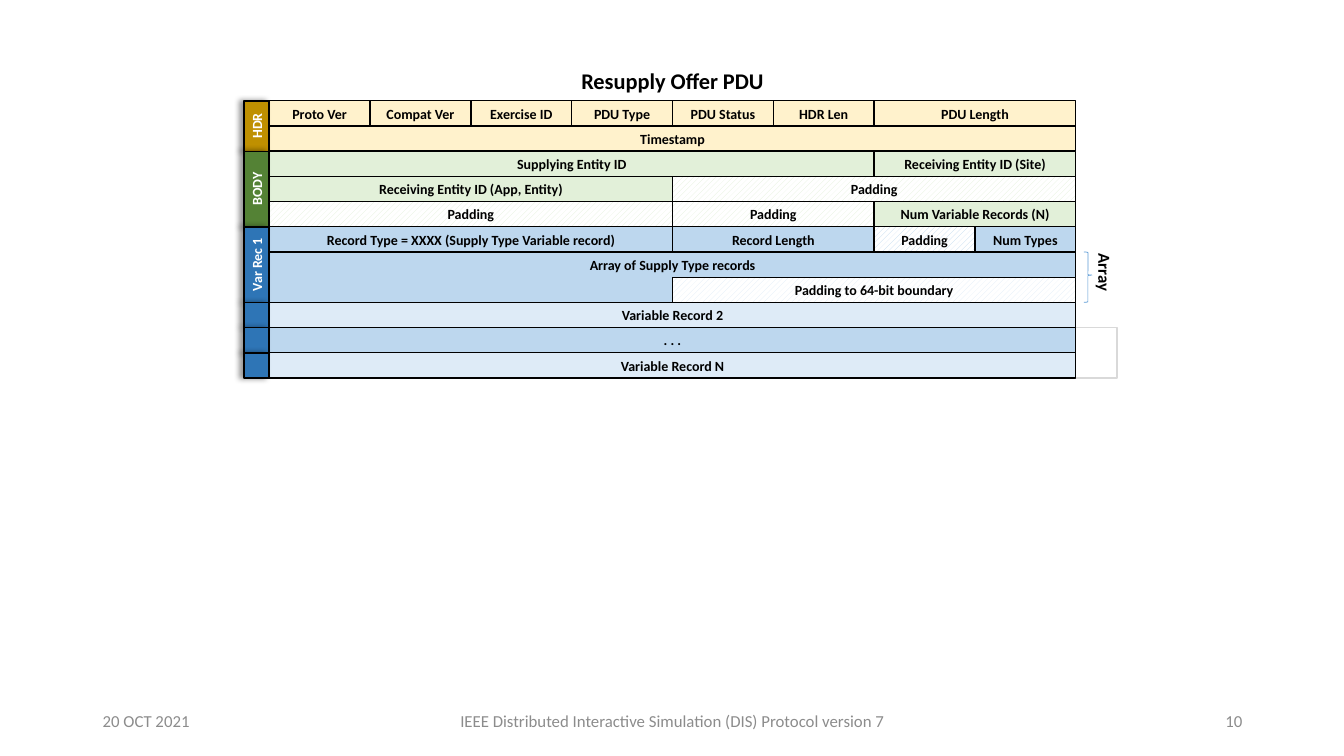
from lxml import etree
from pptx import Presentation
from pptx.dml.color import RGBColor
from pptx.enum import dml, shapes, text
from pptx.oxml.ns import qn
from pptx.util import Inches, Pt

TITLE = "Resupply Offer PDU"
SAND, GREEN, BLUE, PALE = "FFF2CC", "E2F0D9", "BDD7EE", "DEEBF7"
GOLD, FOREST, NAVY = "BF9000", "548235", "2E75B6"
BLACK, WHITE, GREY = "000000", "FFFFFF", "8C8C8C"

# One list per row: (text, width in bytes, colour, hatched)
ROWS = [
    [("Proto Ver", 1, SAND, False), ("Compat Ver", 1, SAND, False),
     ("Exercise ID", 1, SAND, False), ("PDU Type", 1, SAND, False),
     ("PDU Status", 1, SAND, False), ("HDR Len", 1, SAND, False),
     ("PDU Length", 2, SAND, False)],
    [("Timestamp", 8, SAND, False)],
    [("Supplying Entity ID", 6, GREEN, False),
     ("Receiving Entity ID (Site)", 2, GREEN, False)],
    [("Receiving Entity ID (App, Entity)", 4, GREEN, False),
     ("Padding", 4, GREEN, True)],
    [("Padding", 4, GREEN, True), ("Padding", 2, GREEN, True),
     ("Num Variable Records (N)", 2, GREEN, False)],
    [("Record Type = XXXX (Supply Type Variable record)", 4, BLUE, False),
     ("Record Length", 2, BLUE, False), ("Padding", 1, BLUE, True),
     ("Num Types", 1, BLUE, False)],
    [],  # first of the two rows of the array
    [("", 4, None, False), ("Padding to 64-bit boundary", 4, PALE, True)],
    [("Variable Record 2", 8, PALE, False)],
    [(". . .", 8, BLUE, False)],
    [("Variable Record N", 8, PALE, False)],
]
ARRAY_ROW, ARRAY_TEXT = 6, "Array of Supply Type records"
# Side bars: (text, rows spanned, colour)
SECTIONS = [("HDR", 2, GOLD), ("BODY", 3, FOREST), ("Var Rec 1", 3, NAVY),
            ("", 1, NAVY), ("", 1, NAVY), ("", 1, NAVY)]
# Footer: (text, left, width, alignment)
FOOTER = [
    ("20 OCT 2021", 0.92, 3, text.PP_ALIGN.LEFT),
    ("IEEE Distributed Interactive Simulation (DIS) Protocol version 7",
     4.42, 4.5, text.PP_ALIGN.CENTER),
    ("10", 9.42, 3, text.PP_ALIGN.RIGHT),
]
LEFT, TOP, BYTE, ROW = 2.67, 1, 1, 0.25
RIGHT = LEFT + 8 * BYTE

prs = Presentation()
prs.slide_width, prs.slide_height = Inches(13.33), Inches(7.5)
slide = prs.slides.add_slide(prs.slide_layouts[5])


def rgb(value):
    return RGBColor.from_string(value)


def row_top(index):
    return TOP + index * ROW


def write(shape, words, size, color, bold=True, align=text.PP_ALIGN.CENTER,
          anchor=text.MSO_ANCHOR.MIDDLE, margin=0.0):
    frame = shape.text_frame
    frame.word_wrap = True
    frame.auto_size = text.MSO_AUTO_SIZE.NONE
    frame.vertical_anchor = anchor
    frame.margin_left = frame.margin_right = Inches(margin)
    paragraph = frame.paragraphs[0]
    paragraph.alignment = align
    run = paragraph.add_run()
    run.text = words
    run.font.name, run.font.size, run.font.bold = "Calibri", Pt(size), bold
    run.font.color.rgb = rgb(color)


def outline(kind, left, top, width, height, color=BLACK, weight=1):
    shape = slide.shapes.add_shape(
        kind, Inches(left), Inches(top), Inches(width), Inches(height))
    shape.shadow.inherit = False
    shape.fill.background()
    shape.line.color.rgb, shape.line.width = rgb(color), Pt(weight)
    return shape


def box(left, top, width, height, color, hatched=False):
    shape = outline(shapes.MSO_SHAPE.RECTANGLE, left, top, width, height)
    if hatched:
        shape.fill.patterned()
        shape.fill.pattern = dml.MSO_PATTERN.WIDE_UPWARD_DIAGONAL
        shape.fill.fore_color.rgb = rgb(color)
        shape.fill.back_color.rgb = rgb(WHITE)
    else:
        shape.fill.solid()
        shape.fill.fore_color.rgb = rgb(color)
    return shape


def cast_shadow_left(shape):
    effects = shape._element.spPr.find(qn("a:effectLst"))
    shadow = etree.SubElement(
        effects, qn("a:outerShdw"), blurRad=str(Pt(4)), dist=str(Pt(3)),
        dir=str(180 * 60000), rotWithShape="0")
    black = etree.SubElement(shadow, qn("a:srgbClr"), val=BLACK)
    etree.SubElement(black, qn("a:alpha"), val="40000")


# Title
title = slide.shapes.title
title.left, title.top = Inches(4.67), Inches(0.67)
title.width, title.height = Inches(4), Inches(0.25)
write(title, TITLE, 16, BLACK)

# Empty frame beside the last rows
outline(shapes.MSO_SHAPE.RECTANGLE, RIGHT - 0.01, row_top(9), 0.42, 2 * ROW, "D9D9D9")

# Fields, with the two-row array behind
array = box(LEFT, row_top(ARRAY_ROW), 8 * BYTE, 2 * ROW, BLUE)
write(array, ARRAY_TEXT, 10, BLACK, anchor=text.MSO_ANCHOR.TOP)
for index, fields in enumerate(ROWS):
    left = LEFT
    for words, size, color, hatched in fields:
        if color:
            field = box(left, row_top(index), size * BYTE, ROW, color, hatched)
            write(field, words, 10, BLACK)
        left += size * BYTE

# Side bars, turned to read upwards
start = 0
for words, span, color in SECTIONS:
    length = span * ROW
    middle = row_top(start) + length / 2
    bar = box(LEFT - ROW / 2 - length / 2, middle - ROW / 2, length, ROW, color)
    bar.rotation = 270
    cast_shadow_left(bar)
    if words:
        write(bar, words, 10, WHITE)
    start += span

# Brace and label of the array
brace = outline(shapes.MSO_SHAPE.RIGHT_BRACE, RIGHT + 0.08, row_top(ARRAY_ROW),
                0.08, 2 * ROW, "5B9BD5", 0.5)
brace.adjustments[0], brace.adjustments[1] = 0.08, 0.46
label = slide.shapes.add_textbox(Inches(RIGHT), Inches(2.58), Inches(0.58), Inches(0.25))
label.rotation = 90
write(label, "Array", 12, BLACK)

# Footer
for words, left, width, align in FOOTER:
    note = slide.shapes.add_textbox(
        Inches(left), Inches(6.95), Inches(width), Inches(0.4))
    write(note, words, 12, GREY, bold=False, align=align, margin=0.1)

prs.save("out.pptx")
